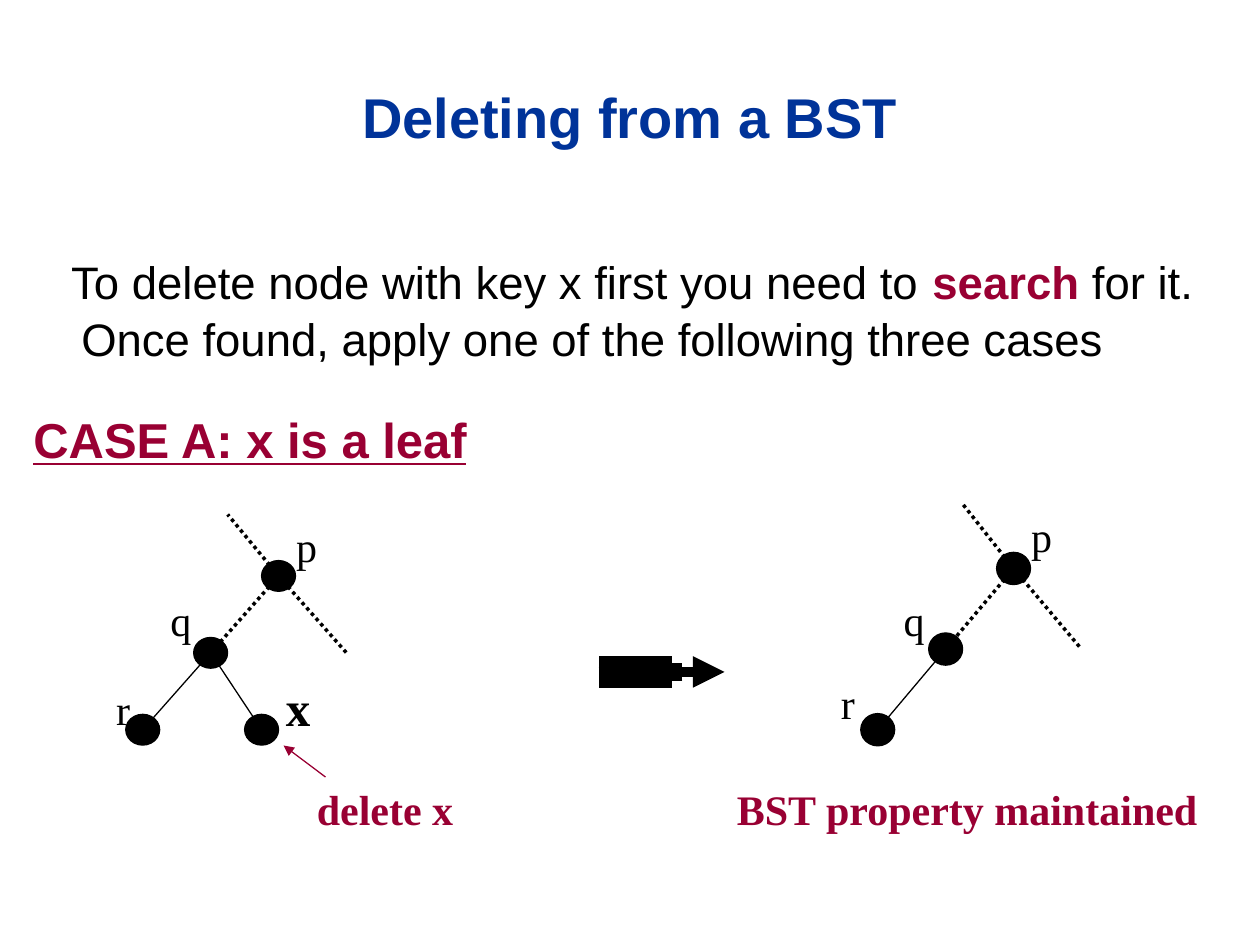
from dataclasses import dataclass

from lxml import etree
from pptx import Presentation
from pptx.dml.color import RGBColor
from pptx.enum.dml import MSO_LINE
from pptx.enum.shapes import MSO_CONNECTOR, MSO_SHAPE
from pptx.enum.text import MSO_ANCHOR, PP_ALIGN
from pptx.oxml.ns import qn
from pptx.util import Inches, Pt

STRAIGHT, OVAL = MSO_CONNECTOR.STRAIGHT, MSO_SHAPE.OVAL
DOTTED, CENTER = MSO_LINE.ROUND_DOT, PP_ALIGN.CENTER
MIDDLE, TOP = MSO_ANCHOR.MIDDLE, MSO_ANCHOR.TOP


@dataclass(frozen=True)
class Theme:
    blue: RGBColor = RGBColor(0x00, 0x33, 0x99)
    red: RGBColor = RGBColor(0x99, 0x00, 0x33)
    black: RGBColor = RGBColor(0, 0, 0)
    sans: str = "Arial"
    serif: str = "Times New Roman"
    title: int = 32
    body: int = 26
    case: int = 28
    label: int = 24
    target: int = 28
    thin: float = 0.75
    dotted: float = 2


@dataclass(frozen=True)
class Box:
    """An area in inches, divided into columns and rows."""
    left: float
    top: float
    width: float
    height: float
    cols: int
    rows: int

    def point(self, col, row):
        return (self.left + col * self.width / self.cols,
                self.top + row * self.height / self.rows)

    def area(self, col, row, cols, rows, inner_cols=1, inner_rows=1):
        return Box(*self.point(col, row), cols * self.width / self.cols,
                   rows * self.height / self.rows, inner_cols, inner_rows)

    def emu(self):
        return [Inches(v) for v in (self.left, self.top, self.width, self.height)]


THEME = Theme()
PAGE = Box(0, 0, 10, 7.5, 120, 90)
TREE_GRID = (12, 7)

# Node and branch-end positions on the tree grid
NODES = {"p": (8, 2), "q": (4, 4.5), "r": (0, 7), "x": (7, 7)}
BRANCH_ENDS = [(5, 0), (12, 4.5)]


def style(run, size, color, font, bold=False, underline=None):
    run.font.size, run.font.name = Pt(size), font
    run.font.color.rgb = color
    run.font.bold, run.font.underline = bold, underline


def add_text(slide, box, text, size, color, font, bold=False,
             align=None, anchor=TOP, wrap=False):
    frame = slide.shapes.add_textbox(*box.emu()).text_frame
    frame.word_wrap, frame.vertical_anchor = wrap, anchor
    frame.text = text
    frame.paragraphs[0].alignment = align
    style(frame.paragraphs[0].runs[0], size, color, font, bold)


def add_line(slide, box, start, end, color=THEME.black, width=THEME.thin,
             dash=None, arrow=False):
    ends = [Inches(v) for v in box.point(*start) + box.point(*end)]
    connector = slide.shapes.add_connector(STRAIGHT, *ends)
    connector.line.color.rgb, connector.line.width = color, Pt(width)
    if dash:
        connector.line.dash_style = dash
    if arrow:
        outline = connector._element.spPr.find(qn("a:ln"))
        etree.SubElement(outline, qn("a:tailEnd"), type="triangle")
    etree.SubElement(connector._element.spPr, qn("a:effectLst"))


def add_title(slide, box):
    add_text(slide, box, "Deleting from a BST", THEME.title, THEME.blue,
             THEME.sans, bold=True, align=CENTER, anchor=MIDDLE, wrap=True)


def add_body(slide, box):
    frame = slide.shapes.add_textbox(*box.emu()).text_frame
    frame.word_wrap = True

    # Introduction with one highlighted word
    intro = frame.paragraphs[0]
    intro.line_spacing = 1.05
    for text, color, bold in [
            ("To delete node with key x first you need to ", THEME.black, False),
            ("search", THEME.red, True),
            (" for it. Once found, apply one of the following three cases",
             THEME.black, False)]:
        run = intro.add_run()
        run.text = text
        style(run, THEME.body, color, THEME.sans, bold)
    properties = intro._p.get_or_add_pPr()
    properties.set("marL", str(Inches(0.38)))
    properties.set("indent", str(Inches(-0.08)))

    # Case heading
    case = frame.add_paragraph()
    case.text = "CASE A: x is a leaf"
    case.line_spacing, case.space_before = 1.1, Pt(22)
    style(case.runs[0], THEME.case, THEME.red, THEME.sans, True, True)


def add_tree(slide, box, labels):
    """Draw the nodes named in labels, with each label at its grid position."""
    # Branches
    for child in ("r", "x"):
        if child in labels:
            add_line(slide, box, NODES[child], NODES["q"])
    for end in [NODES["q"], *BRANCH_ENDS]:
        add_line(slide, box, NODES["p"], end, width=THEME.dotted, dash=DOTTED)

    # Nodes and their labels
    for name, (label_col, label_row) in labels.items():
        col, row = NODES[name]
        node = slide.shapes.add_shape(OVAL, *box.area(col - 1, row - 0.5, 2, 1).emu())
        node.shadow.inherit = False
        node.fill.solid()
        node.fill.fore_color.rgb = node.line.color.rgb = THEME.black
        node.line.width = Pt(THEME.thin)

        is_target = name == "x"
        add_text(slide, box.area(label_col, label_row, 2.8, 2), name,
                 THEME.target if is_target else THEME.label,
                 THEME.black, THEME.serif, bold=is_target)


def add_step_arrow(slide, box):
    # Three bars and a thick core make up the shaft
    add_line(slide, box, (0, 1), (12, 1), width=6, arrow=True)
    for row in (0, 2):
        add_line(slide, box, (7, row), (0, row), width=6)
    add_line(slide, box, (8, 1), (0, 1), width=10.25)


def add_caption(slide, box, text):
    add_text(slide, box, text, THEME.label, THEME.red, THEME.serif, bold=True)


def main():
    deck = Presentation()
    deck.slide_width, deck.slide_height = Inches(PAGE.width), Inches(PAGE.height)
    slide = deck.slides.add_slide(deck.slide_layouts[6])

    add_title(slide, PAGE.area(6, 3.6, 108, 15))
    add_body(slide, PAGE.area(2, 23.3, 118, 54))

    # Before: x is still a leaf under q
    add_tree(slide, PAGE.area(13.6, 49, 19.4, 20.5, *TREE_GRID),
             {"p": (8.3, 0), "q": (0.9, 2.4), "r": (-2.3, 5.3), "x": (7.7, 5.1)})
    add_line(slide, PAGE, (31, 74), (27, 71), THEME.red, arrow=True)
    add_caption(slide, PAGE.area(29, 74, 15.4, 6), "delete x")

    add_step_arrow(slide, PAGE.area(57, 63, 12, 2, 12, 2))

    # After: x is gone
    add_tree(slide, PAGE.area(83.6, 48, 19.4, 21.5, *TREE_GRID),
             {"p": (8.3, 0), "q": (0.8, 2.6), "r": (-2.9, 5.2)})
    add_caption(slide, PAGE.area(69, 74, 46.4, 6), "BST property maintained")

    deck.save("out.pptx")


if __name__ == "__main__":
    main()
